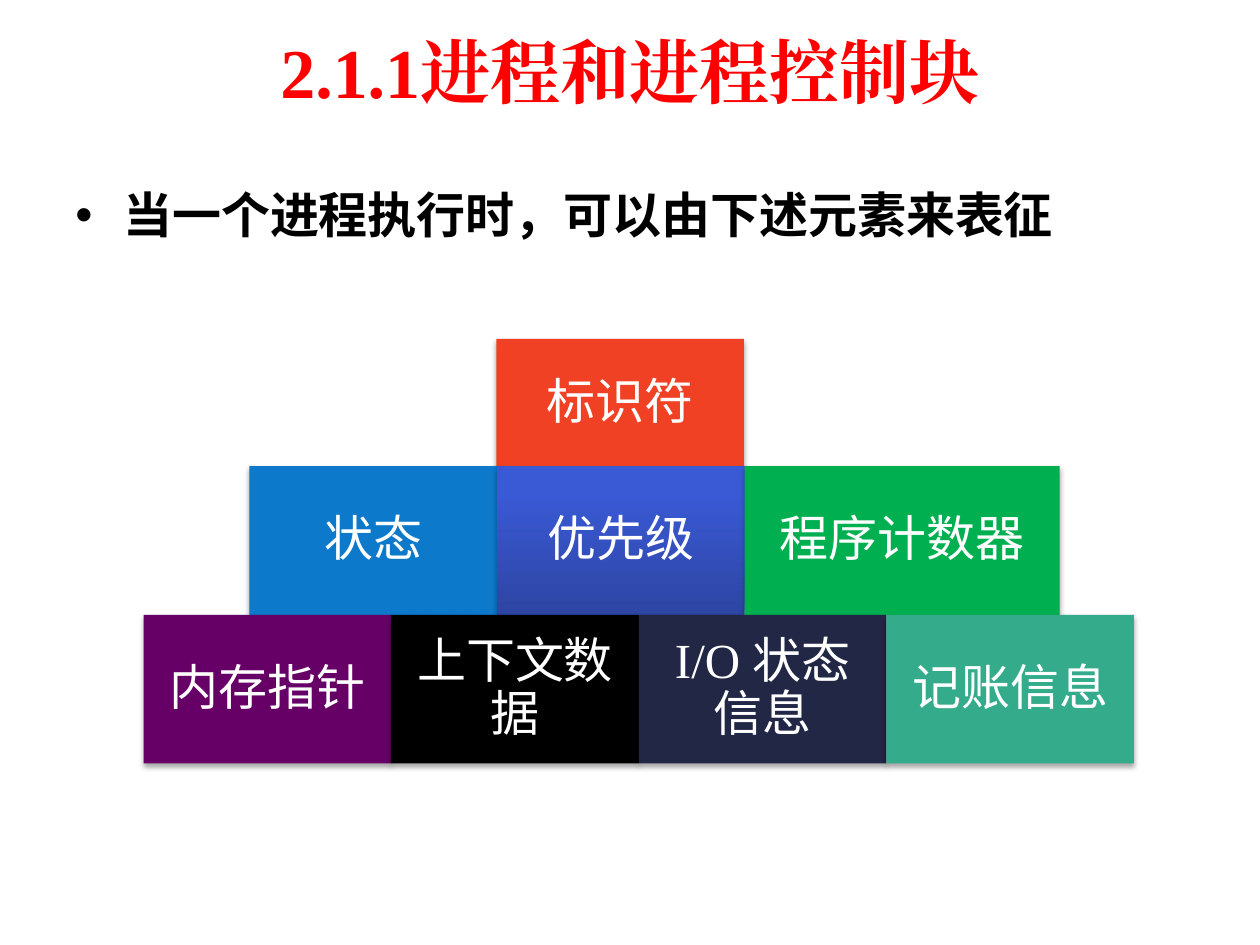
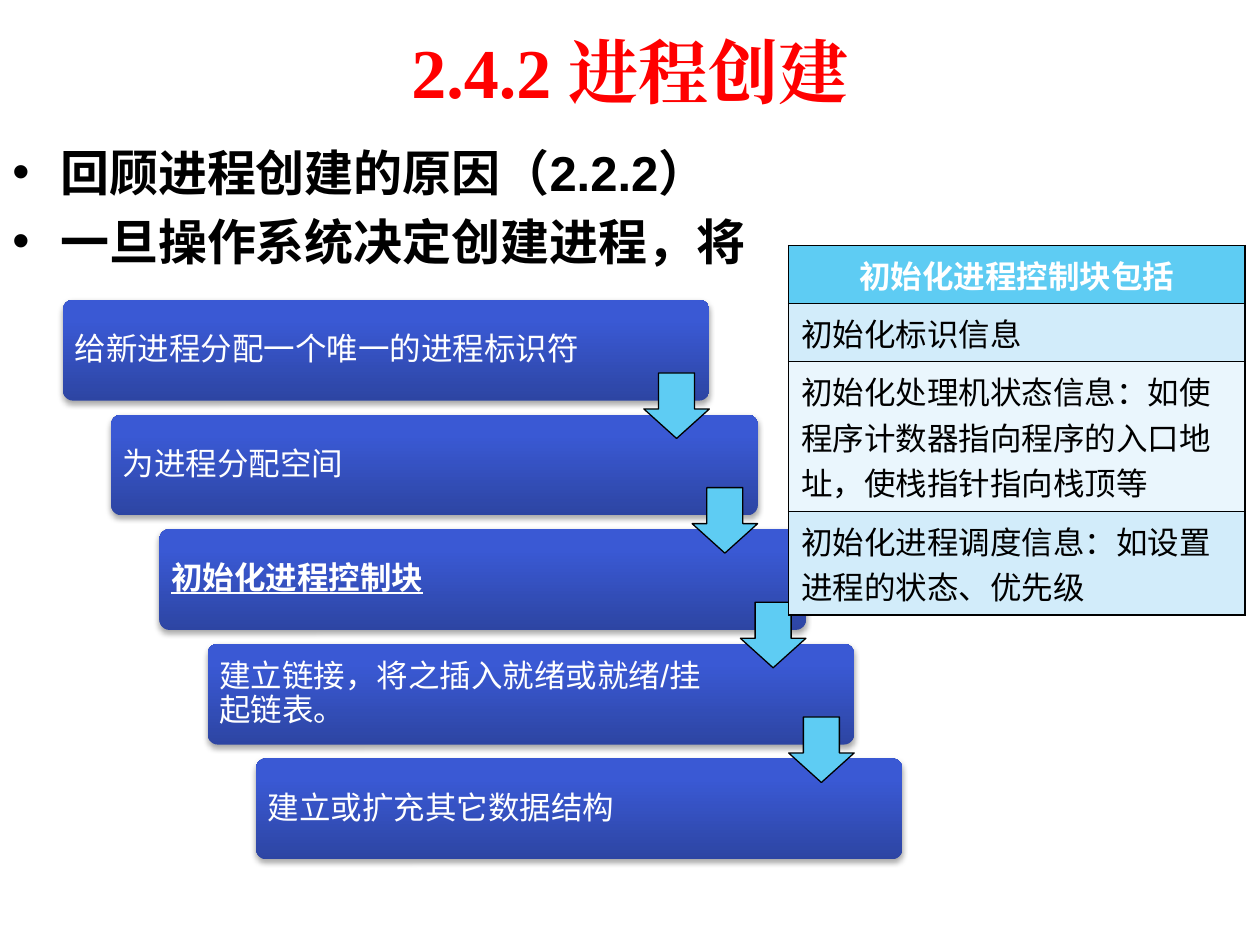
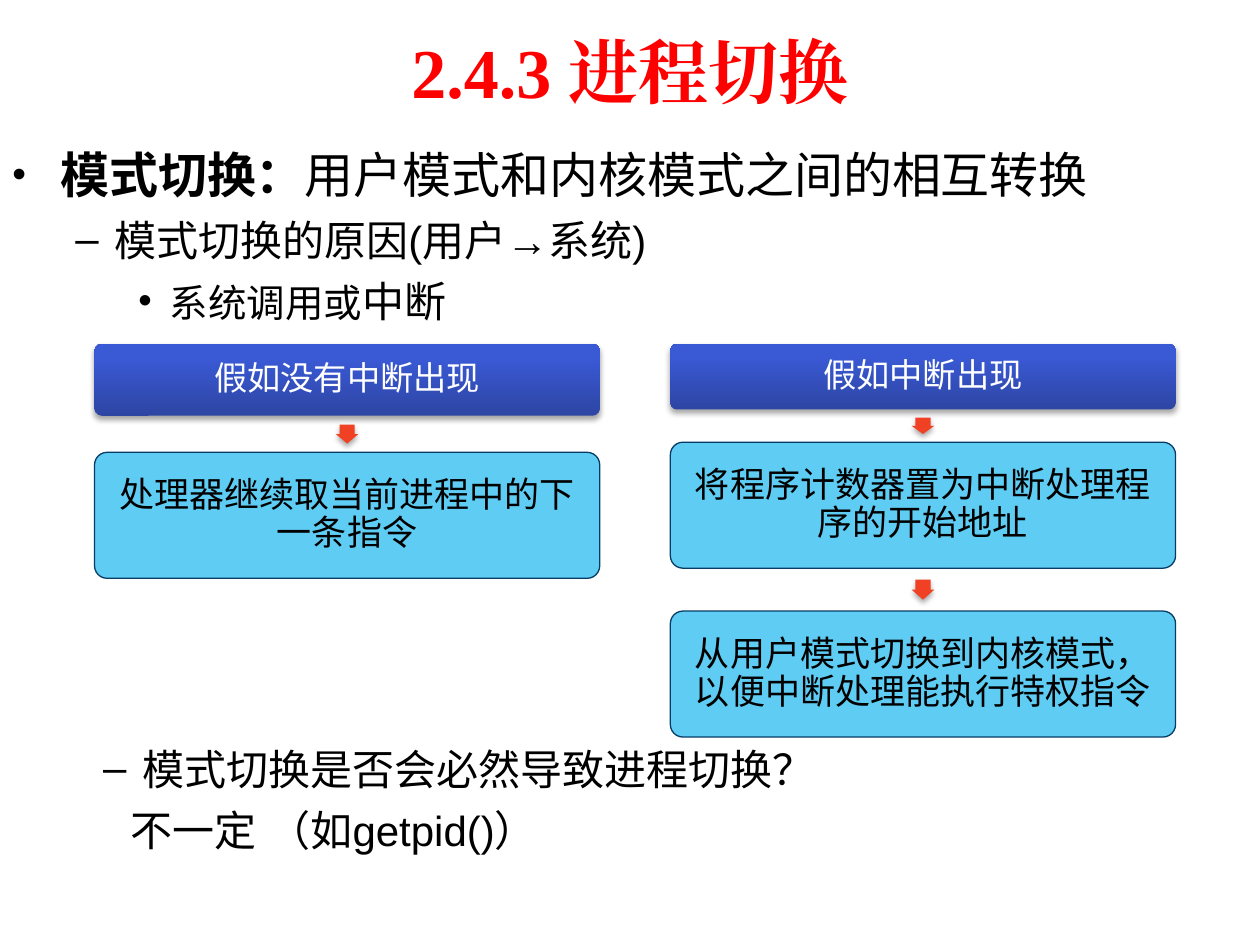
from copy import deepcopy

from lxml.etree import SubElement
from pptx import Presentation
from pptx.dml.color import RGBColor
from pptx.enum.shapes import MSO_SHAPE as Shape
from pptx.enum.text import MSO_ANCHOR as Anchor, PP_ALIGN as Align
from pptx.oxml.ns import qn
from pptx.util import Inches, Pt

WIDTH, HEIGHT = Inches(10), Inches(7.5)
COLUMN, ROW = WIDTH / 100, HEIGHT / 75

RED = RGBColor(0xFF, 0x00, 0x00)
BLACK = RGBColor(0x00, 0x00, 0x00)
WHITE = RGBColor(0xFF, 0xFF, 0xFF)
ORANGE = RGBColor(0xF1, 0x41, 0x24)
BLUE = RGBColor(0x0D, 0x79, 0xCA)
GREEN = RGBColor(0x00, 0xB0, 0x50)
PURPLE = RGBColor(0x66, 0x00, 0x66)
NAVY = RGBColor(0x21, 0x27, 0x45)
TEAL = RGBColor(0x34, 0xAC, 0x8B)
SKY = RGBColor(0x5E, 0xCC, 0xF3)
SKY_LINE = RGBColor(0x07, 0x3C, 0x65)
BAND_DARK = RGBColor(0xD2, 0xEC, 0xFA)
BAND_LIGHT = RGBColor(0xEA, 0xF6, 0xFD)
ROYAL = [
    (0, RGBColor(0x2D, 0x45, 0xA3)),
    (0.8, RGBColor(0x3A, 0x59, 0xD4)),
    (1, RGBColor(0x37, 0x58, 0xD7)),
]


def grid(left, top, width, height):
    return [int(left * COLUMN), int(top * ROW), int(width * COLUMN), int(height * ROW)]


def add_span(para, text, size=28, font="Arial", color=BLACK, bold=False,
             underline=False, east_asian=True):
    span = para.add_run()
    span.text = text
    span.font.size = Pt(size)
    span.font.name = font
    span.font.color.rgb = color
    span.font.bold = bold
    span.font.underline = underline
    props = span._r.get_or_add_rPr()
    props.set("lang", "zh-CN")
    if east_asian:
        latin = props.find(qn("a:latin"))
        ea = deepcopy(latin)
        ea.tag = qn("a:ea")
        latin.addnext(ea)


def add_bullet(para, mark, size):
    props = para._p.get_or_add_pPr()
    if size:
        SubElement(props, qn("a:buSzPct"), val=str(size * 1000))
    SubElement(props, qn("a:buFont"), typeface="Arial")
    SubElement(props, qn("a:buChar"), char=mark)


def write(para, text, align=Align.LEFT, spacing=None, before=0, indent=0, hang=0,
          bullet=None, bullet_size=None, **look):
    para.alignment = align
    para.line_spacing = spacing
    para.space_before = Pt(before)
    props = para._p.get_or_add_pPr()
    props.set("marL", str(int(indent * COLUMN)))
    props.set("indent", str(int(-hang * COLUMN)))
    if bullet:
        add_bullet(para, bullet, bullet_size)
    spans = [(text, {})] if isinstance(text, str) else text
    for words, change in spans:
        add_span(para, words, **{**look, **change})


def set_frame(frame, anchor, left, top, right):
    frame.word_wrap = True
    frame.vertical_anchor = anchor
    frame.margin_left = int(left * COLUMN)
    frame.margin_right = int(right * COLUMN)
    frame.margin_top = frame.margin_bottom = int(top * ROW)


def add_text(page, place, lines, anchor=Anchor.TOP):
    frame = page.shapes.add_textbox(*grid(*place)).text_frame
    set_frame(frame, anchor, 1, 0.5, 1)
    for number, (text, look) in enumerate(lines):
        para = frame.add_paragraph() if number else frame.paragraphs[0]
        write(para, text, **look)


def add_page(deck, title):
    page = deck.slides.add_slide(deck.slide_layouts[6])
    look = dict(align=Align.CENTER, size=40, font="Times New Roman", color=RED, bold=True)
    add_text(page, (5, 0.5, 90, 10.2), [(title, look)], Anchor.MIDDLE)
    return page


def item(text, level=0, **look):
    indent, hang, size, mark = [
        (3.8, 3.8, 28, "•"), (8.1, 3.1, 24, "–"), (12.5, 2.5, 22, "•")][level]
    return text, {**dict(indent=indent, hang=hang, size=size, bullet=mark, before=6), **look}


def paint_gradient(shape, stops):
    shape.fill.gradient()
    shape.fill.gradient_angle = 90
    first = shape._element.spPr.find(qn("a:gradFill")).find(qn("a:gsLst"))[0]
    first.addnext(deepcopy(first))
    for stop, (position, color) in zip(shape.fill.gradient_stops, stops):
        stop.position = position
        stop.color.rgb = color


def add_shadow(shape):
    effects = shape._element.spPr.find(qn("a:effectLst"))
    shadow = SubElement(effects, qn("a:outerShdw"), blurRad="40000", dist="23000",
                        dir="5400000", rotWithShape="0")
    color = SubElement(shadow, qn("a:srgbClr"), val="000000")
    SubElement(color, qn("a:alpha"), val="35000")


def add_shape(page, kind, place, fill, line=None, adjust=(), turn=0):
    shape = page.shapes.add_shape(kind, *grid(*place))
    for index, value in enumerate(adjust):
        shape.adjustments[index] = value
    shape.rotation = turn
    shape.shadow.inherit = False
    if fill is ROYAL:
        paint_gradient(shape, fill)
    else:
        shape.fill.solid()
        shape.fill.fore_color.rgb = fill
    if line is None:
        shape.line.fill.background()
        add_shadow(shape)
    else:
        shape.line.color.rgb = line
        shape.line.width = Pt(0.75)
    return shape


def add_box(page, kind, place, fill, text, line=None, adjust=(), inset=1.2,
            right=None, **look):
    box = add_shape(page, kind, place, fill, line, adjust)
    set_frame(box.text_frame, Anchor.MIDDLE, inset, inset, right or inset)
    write(box.text_frame.paragraphs[0], text, spacing=0.9, **look)


def add_border(cell):
    props = cell._tc.get_or_add_tcPr()
    for side in ("lnL", "lnR", "lnT", "lnB"):
        edge = SubElement(props, qn("a:" + side), w=str(Pt(1)))
        fill = SubElement(edge, qn("a:solidFill"))
        SubElement(fill, qn("a:srgbClr"), val=str(BLACK))


def add_list_table(page, left, top, width, rows):
    heights = [height for height, _ in rows]
    table = page.shapes.add_table(
        len(rows), 1, *grid(left, top, width, sum(heights))).table
    for number, (height, text) in enumerate(rows):
        table.rows[number].height = int(height * ROW)
        cell = table.cell(number, 0)
        add_border(cell)
        cell.fill.solid()
        head = number == 0
        cell.fill.fore_color.rgb = SKY if head else (BAND_LIGHT, BAND_DARK)[number % 2]
        write(cell.text_frame.paragraphs[0], text, size=18, bold=head,
              align=Align.CENTER if head else Align.LEFT,
              color=WHITE if head else BLACK, east_asian=False)


def add_pyramid(page, tiers):
    for left, top, height, blocks in tiers:
        for text, fill, width in blocks:
            add_box(page, Shape.RECTANGLE, (left, top, width, height), fill, text,
                    align=Align.CENTER, color=WHITE)
            left += width


def add_staircase(page, steps):
    left, top, across, down = 5, 23.8, 3.83, 9.1
    for number, text in enumerate(steps):
        place = (left + number * across, top + number * down, 51.3, 8)
        add_box(page, Shape.ROUNDED_RECTANGLE, place, ROYAL, text, adjust=[0.1],
                inset=0.7, right=9.8, size=18, color=WHITE)
    for number in range(len(steps) - 1):
        place = (left + 46.1 + number * across, top + 5.8 + number * down, 5.2, 5.2)
        add_shape(page, Shape.DOWN_ARROW, place, SKY, BLACK, [0.55, 0.45])


def add_flow(page, left, head_height, gap, head, steps):
    width, step_height, top = 40.1, 10, 27.3
    look = dict(adjust=[0.1], inset=0.3, align=Align.CENTER)
    add_box(page, Shape.ROUNDED_RECTANGLE, (left, top, width, head_height), ROYAL, head,
            size=19, font="Calibri", color=WHITE, **look)
    bottom = top + head_height
    for text, font, space, length in steps:
        arrow = (left + (width - length) / 2, bottom + (space - 1.8) / 2, length, 1.8)
        add_shape(page, Shape.RIGHT_ARROW, arrow, ORANGE, adjust=[0.667, 0.5], turn=90)
        top = bottom + space
        add_box(page, Shape.ROUNDED_RECTANGLE, (left, top, width, step_height), SKY, text,
                line=SKY_LINE, size=20, font=font, **look)
        bottom = top + step_height


def build_elements(deck):
    page = add_page(deck, "2.1.1进程和进程控制块")
    add_text(page, (5, 14.7, 90, 52.3), [
        item("当一个进程执行时，可以由下述元素来表征", bold=True, spacing=0.9)])
    unit = 19.65
    io_text = [("I/O ", dict(font="Times New Roman")), ("状态信息", {})]
    add_pyramid(page, [
        (39.4, 26.9, 10.2, [("标识符", ORANGE, unit)]),
        (19.8, 37, 11.8, [("状态", BLUE, unit), ("优先级", ROYAL, unit),
                          ("程序计数器", GREEN, 25)]),
        (11.4, 48.8, 11.8, [("内存指针", PURPLE, unit), ("上下文数据", BLACK, unit),
                            (io_text, NAVY, unit), ("记账信息", TEAL, unit)]),
    ])


def build_creation(deck):
    page = add_page(deck, "2.4.2 进程创建")
    add_text(page, (0, 10.8, 90, 6.1), [
        item("回顾进程创建的原因（2.2.2）", bold=True),
        item("一旦操作系统决定创建进程，将", bold=True)])
    add_staircase(page, [
        "给新进程分配一个唯一的进程标识符",
        "为进程分配空间",
        [("初始化进程控制块", dict(bold=True, underline=True))],
        "建立链接，将之插入就绪或就绪/挂起链表。",
        "建立或扩充其它数据结构",
    ])
    add_list_table(page, 62.6, 19.5, 36.2, [
        (4.6, "初始化进程控制块包括"),
        (4.6, "初始化标识信息"),
        (11.9, "初始化处理机状态信息：如使程序计数器指向程序的入口地址，使栈指针指向栈顶等"),
        (8.2, "初始化进程调度信息：如设置进程的状态、优先级"),
    ])


def build_switch(deck):
    page = add_page(deck, "2.4.3 进程切换")
    add_flow(page, 7.5, 5.7, 2.9, "假如没有中断出现", [
        ("处理器继续取当前进程中的下一条指令", "Calibri", 2.9, 1.5)])
    add_flow(page, 53.2, 5.2, 2.6, "假如中断出现", [
        ("将程序计数器置为中断处理程序的开始地址", "Arial", 2.6, 1.3),
        ("从用户模式切换到内核模式，以便中断处理能执行特权指令", "Arial", 3.4, 1.6)])
    add_text(page, (0, 11, 96.5, 18.6), [
        item([("模式切换：", dict(bold=True)), ("用户模式和内核模式之间的相互转换", {})],
             bullet_size=80),
        item("模式切换的原因(用户→系统)", 1),
        item([("系统调用或", {}), ("中断", dict(size=24))], 2)])
    add_text(page, (2.2, 58.5, 96.5, 9.7), [
        item("模式切换是否会必然导致进程切换？", 1),
        item("不一定 （如getpid()）", 1, bullet=None, indent=7.2, hang=0)])


def main():
    deck = Presentation()
    deck.slide_width, deck.slide_height = WIDTH, HEIGHT
    build_elements(deck)
    build_creation(deck)
    build_switch(deck)
    deck.save("out.pptx")


if __name__ == "__main__":
    main()
